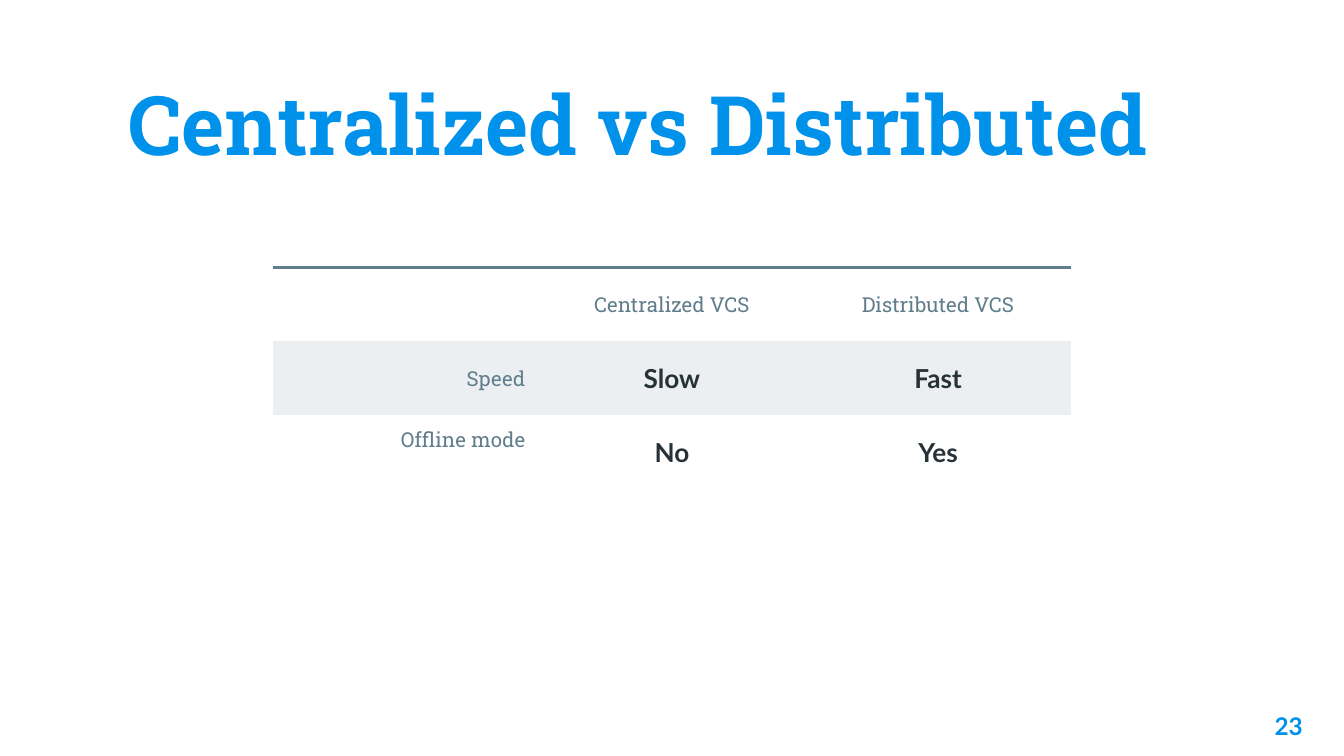
from lxml import etree
from pptx import Presentation, util as u
from pptx.dml.color import RGBColor
from pptx.enum import text as t
from pptx.oxml import ns

TITLE = "Centralized vs Distributed"
PAGE = "23"
ROWS = [
    ["", "Centralized VCS", "Distributed VCS"],
    ["Speed", "Slow", "Fast"],
    ["Offline mode", "No", "Yes"],
]
THEME = {
    "blue": "0091EA", "slate": "607D8B", "ink": "263238",
    "band": "ECEFF1", "plain": "FFFFFF",
    "slab": "Roboto Slab", "sans": "Lato",
    "title": 44, "value": 14, "page": 13, "label": 11, "rule": 1.5,
}
WIDE = 10
HIGH = WIDE * 9 / 16
LEFT, TOP, COL, ROW = 2.03, 1.99, 1.98, 0.55
PLAIN_STYLE = "{2D5ABB26-0587-4C30-8999-92F81FD0307C}"
ALIGN, ANCHOR = t.PP_ALIGN, t.MSO_ANCHOR


def write(frame, words, size, font, color, bold=False, align=ALIGN.LEFT):
    frame.word_wrap = True
    para = frame.paragraphs[0]
    para.alignment = align
    run = para.add_run()
    run.text = words
    run.font.size = u.Pt(THEME[size])
    run.font.name = THEME[font]
    run.font.bold = bold
    run.font.color.rgb = RGBColor.from_string(THEME[color])


def add_box(slide, area, words, anchor=ANCHOR.TOP, **style):
    frame = slide.shapes.add_textbox(*map(u.Inches, area)).text_frame
    frame.margin_left = frame.margin_right = u.Inches(0.1)
    frame.margin_top = frame.margin_bottom = u.Inches(0.1)
    frame.vertical_anchor = anchor
    write(frame, words, **style)


def top_rule(cell):
    line = etree.Element(ns.qn("a:lnT"), w=str(u.Pt(THEME["rule"])))
    fill = etree.SubElement(line, ns.qn("a:solidFill"))
    etree.SubElement(fill, ns.qn("a:srgbClr"), val=THEME["slate"])
    cell._tc.get_or_add_tcPr().insert(0, line)


def add_grid(slide):
    rows, cols = len(ROWS), len(ROWS[0])
    area = (LEFT, TOP, COL * cols, ROW * rows)
    grid = slide.shapes.add_table(rows, cols, *map(u.Inches, area)).table
    grid.first_row = grid.horz_banding = False
    grid._tbl.tblPr.find(ns.qn("a:tableStyleId")).text = PLAIN_STYLE
    for r, row in enumerate(ROWS):
        for c, words in enumerate(row):
            cell = grid.cell(r, c)
            cell.vertical_anchor = ANCHOR.MIDDLE
            cell.margin_left = cell.margin_right = u.Inches(0.1)
            cell.margin_top = cell.margin_bottom = u.Inches(0.07)
            if r % 2:
                cell.fill.solid()
                cell.fill.fore_color.rgb = RGBColor.from_string(THEME["band"])
            else:
                cell.fill.background()
            if r == 0:
                top_rule(cell)
            if not words:
                continue
            align = ALIGN.CENTER if c else ALIGN.RIGHT
            if r and c:
                write(cell.text_frame, words, "value", "sans", "ink", True, align)
            else:
                write(cell.text_frame, words, "label", "slab", "slate", align=align)
    grid.cell(rows - 1, 0).margin_bottom = u.Inches(0.26)


def main():
    deck = Presentation()
    deck.slide_width, deck.slide_height = u.Inches(WIDE), u.Inches(HIGH)
    slide = deck.slides.add_slide(deck.slide_layouts[6])
    add_grid(slide)
    add_box(slide, (9.19, 5.19, 0.6, 0.43), PAGE, size="page",
            font="sans", color="blue", bold=True, align=ALIGN.RIGHT)
    add_box(slide, (0.86, 0.61, 8.28, 0.77), TITLE, ANCHOR.BOTTOM,
            size="title", font="slab", color="blue", bold=True)
    deck.save("out.pptx")


if __name__ == "__main__":
    main()
